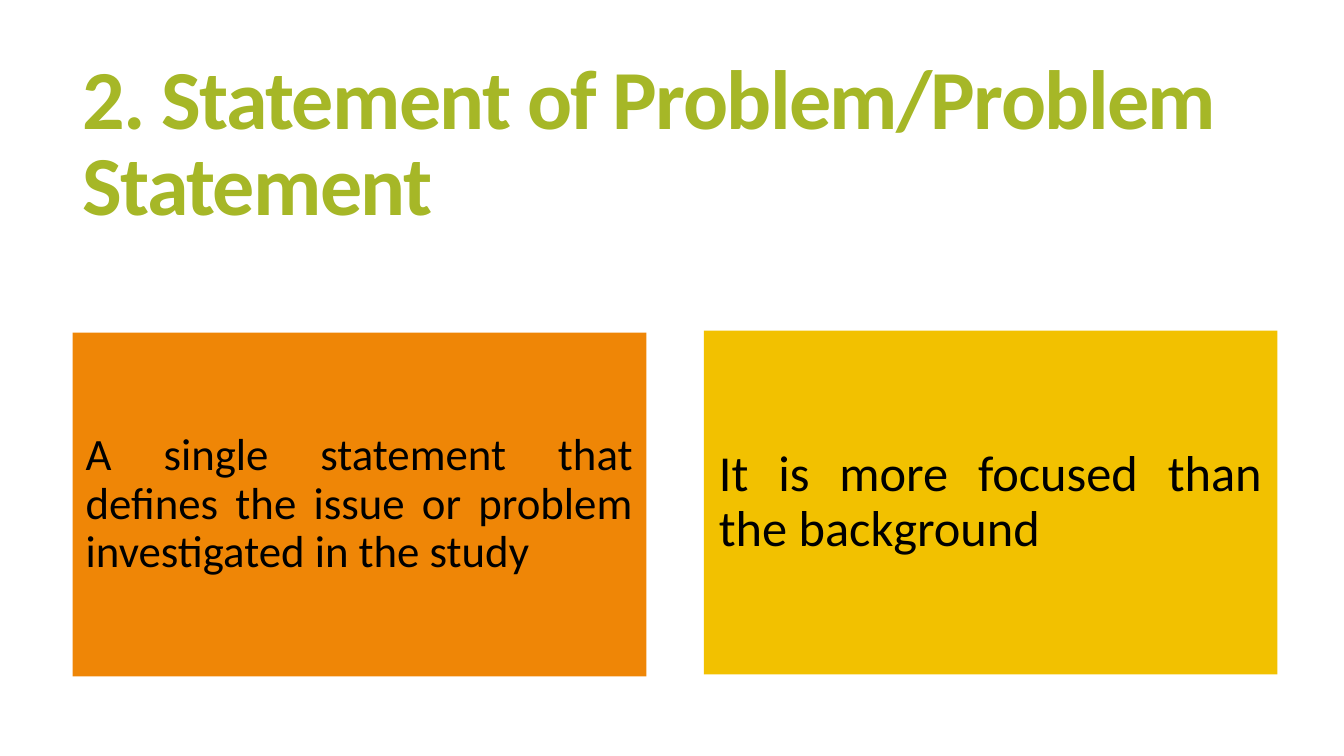
from pptx import Presentation
from pptx.dml.color import RGBColor
from pptx.enum import shapes, text
from pptx.util import Inches, Pt

GREEN = RGBColor(0xA6, 0xB7, 0x27)
ORANGE = RGBColor(0xEF, 0x86, 0x06)
YELLOW = RGBColor(0xF2, 0xC1, 0x00)
BLACK = RGBColor(0, 0, 0)
LEFT = 0.72
CARDS = [
    ("A single statement that defines the issue or problem investigated in the study",
     ORANGE, 3.3, 32, 0.13),
    ("It is more focused than the background", YELLOW, 3.28, 36, 0.15),
]


def write(shape, words, size, color=BLACK, bold=False, align=text.PP_ALIGN.LEFT,
          line=0.9, pad=(0.1, 0.05), track=0):
    frame = shape.text_frame
    frame.word_wrap = True
    frame.vertical_anchor = text.MSO_ANCHOR.MIDDLE
    frame.margin_left = frame.margin_right = Inches(pad[0])
    frame.margin_top = frame.margin_bottom = Inches(pad[1])
    para = frame.paragraphs[0]
    para.alignment = align
    para.line_spacing = line
    run = para.add_run()
    run.text = words
    font = run.font
    font.name = "Calibri"
    font.size = Pt(size)
    font.bold = bold
    font.color.rgb = color
    if track:
        font._element.set("spc", str(round(track * 100)))


def add_title(slide, left, top, width, height):
    box = slide.shapes.add_textbox(*map(Inches, (left, top, width, height)))
    write(box, "2. Statement of Problem/Problem Statement", 60, color=GREEN,
          bold=True, line=0.85, track=-1.2)


def add_card(slide, left, top, width, height, words, fill, size, pad):
    card = slide.shapes.add_shape(shapes.MSO_SHAPE.RECTANGLE,
                                  *map(Inches, (left, top, width, height)))
    card.shadow.inherit = False
    card.fill.solid()
    card.fill.fore_color.rgb = fill
    card.line.fill.background()
    write(card, words, size, align=text.PP_ALIGN.JUSTIFY, pad=(pad, pad))


def add_cards(slide, left, width, height, gap):
    for i, (words, fill, top, size, pad) in enumerate(CARDS):
        add_card(slide, left + i * (width + gap), top, width, height,
                 words, fill, size, pad)


def main():
    deck = Presentation()
    deck.slide_width, deck.slide_height = Inches(13.33), Inches(7.5)
    slide = deck.slides.add_slide(deck.slide_layouts[6])
    add_title(slide, LEFT, 0.55, 11.78, 1.81)
    add_cards(slide, LEFT, 5.69, 3.41, 0.57)
    deck.save("out.pptx")


if __name__ == "__main__":
    main()
